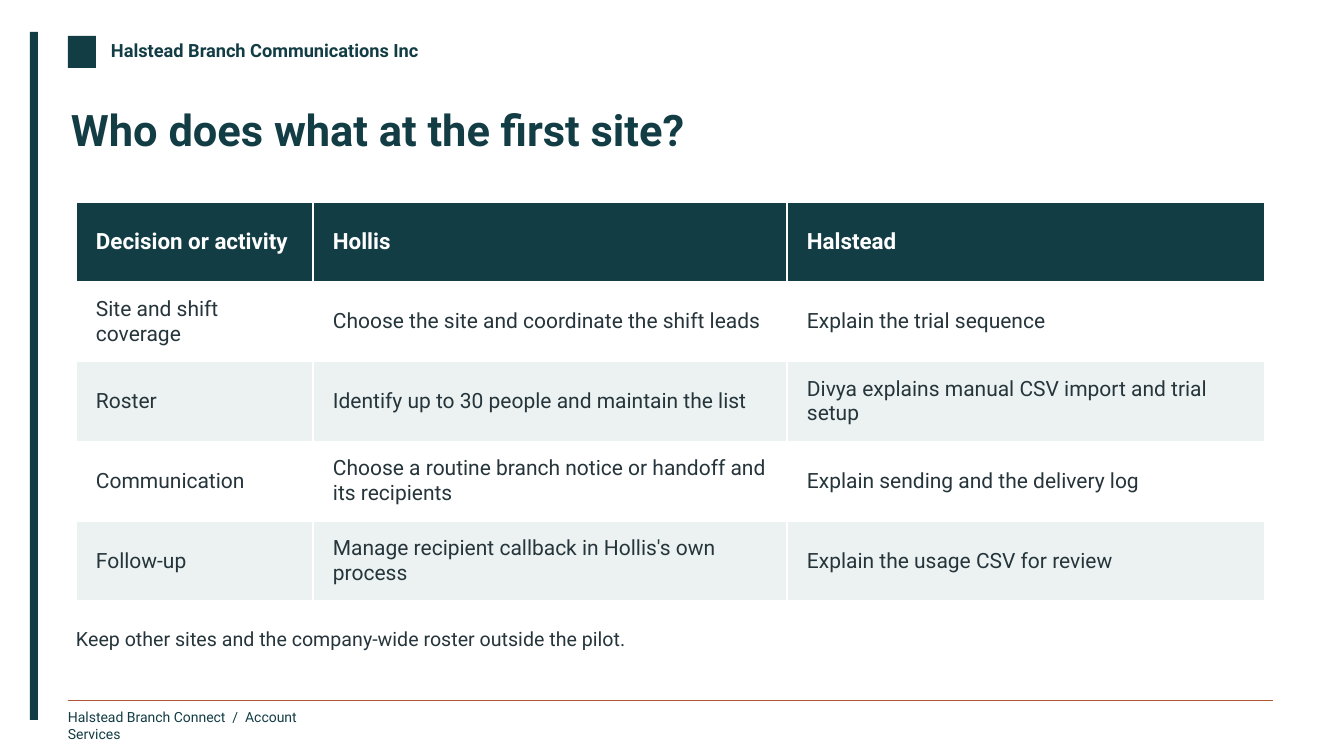
"""Build the slide that divides first-site work between Hollis and Halstead."""
import pptx
import pptx.dml.color
import pptx.enum.shapes
import pptx.enum.text
import pptx.util

COLORS = {"teal": "133D45", "rust": "AF5636", "ink": "26353B", "band": "EBF2F1", "white": "FFFFFF"}
FONT = "Roboto"
PX = 914400 / 100.8

TITLE = ("Who does what at the first site?", (71, 103, 1200, 87), 31, "teal", True)
LABELS = [
    ("Halstead Branch Communications Inc", (111, 39, 358, 27), 13, "teal", True),
    ("Halstead Branch Connect  /  Account Services", (68, 709, 262, 23), 10, "teal", False),
    ("Keep other sites and the company-wide roster outside the pilot.", (76, 627, 1191, 44), 14, "ink", False),
]
BARS = [
    ((30, 32, 8, 688), "teal"),
    ((68, 36, 28, 32), "teal"),
    ((68, 700, 1205, 1), "rust"),
]
ROLES = [
    ("Decision or activity", "Hollis", "Halstead"),
    ("Site and shift coverage", "Choose the site and coordinate the shift leads", "Explain the trial sequence"),
    ("Roster", "Identify up to 30 people and maintain the list", "Divya explains manual CSV import and trial setup"),
    ("Communication", "Choose a routine branch notice or handoff and its recipients", "Explain sending and the delivery log"),
    ("Follow-up", "Manage recipient callback in Hollis's own process", "Explain the usage CSV for review"),
]
COLUMN_WIDTHS = [237, 474, 478]
TABLE_LEFT, TABLE_TOP, TABLE_HEIGHT = 76, 202, 399
CELL_MARGINS = {"margin_left": 20, "margin_top": 5, "margin_right": 10, "margin_bottom": 5}


def emu(px):
    return pptx.util.Emu(round(px * PX))


def color(name):
    return pptx.dml.color.RGBColor.from_string(COLORS[name])


def paint(target, name):
    target.fill.solid()
    target.fill.fore_color.rgb = color(name)


def write(frame, text, size, ink, bold):
    frame.text = text
    para = frame.paragraphs[0]
    para.alignment = pptx.enum.text.PP_ALIGN.LEFT
    for span in para.runs:
        span.font.name = FONT
        span.font.size = pptx.util.Pt(size)
        span.font.bold = bold
        span.font.color.rgb = color(ink)


def fill_box(box, text, place, size, ink, bold):
    box.left, box.top, box.width, box.height = map(emu, place)
    frame = box.text_frame
    frame.margin_left = frame.margin_top = frame.margin_right = frame.margin_bottom = 0
    frame.word_wrap = True
    frame.auto_size = pptx.enum.text.MSO_AUTO_SIZE.NONE
    frame.vertical_anchor = pptx.enum.text.MSO_ANCHOR.TOP
    write(frame, text, size, ink, bold)


def add_bar(page, place, fill):
    bar = page.shapes.add_shape(pptx.enum.shapes.MSO_SHAPE.RECTANGLE, *map(emu, place))
    bar.shadow.inherit = False
    bar.line.fill.background()
    paint(bar, fill)


def add_roles(page):
    place = (TABLE_LEFT, TABLE_TOP, sum(COLUMN_WIDTHS), TABLE_HEIGHT)
    table = page.shapes.add_table(len(ROLES), len(COLUMN_WIDTHS), *map(emu, place)).table
    for column, width in zip(table.columns, COLUMN_WIDTHS):
        column.width = emu(width)
    for row, texts in enumerate(ROLES):
        header = row == 0
        fill = "teal" if header else ("white", "band")[(row - 1) % 2]
        for column, text in enumerate(texts):
            cell = table.cell(row, column)
            paint(cell, fill)
            cell.vertical_anchor = pptx.enum.text.MSO_ANCHOR.MIDDLE
            for side, margin in CELL_MARGINS.items():
                setattr(cell, side, emu(margin))
            write(cell.text_frame, text, 16 if header else 15, "white" if header else "ink", header)


def main():
    deck = pptx.Presentation()
    deck.slide_width, deck.slide_height = emu(1344), emu(756)
    page = deck.slides.add_slide(deck.slide_layouts[5])
    for place, fill in BARS:
        add_bar(page, place, fill)
    fill_box(page.shapes.title, *TITLE)
    for label in LABELS:
        fill_box(page.shapes.add_textbox(0, 0, 0, 0), *label)
    add_roles(page)
    deck.save("out.pptx")


if __name__ == "__main__":
    main()
